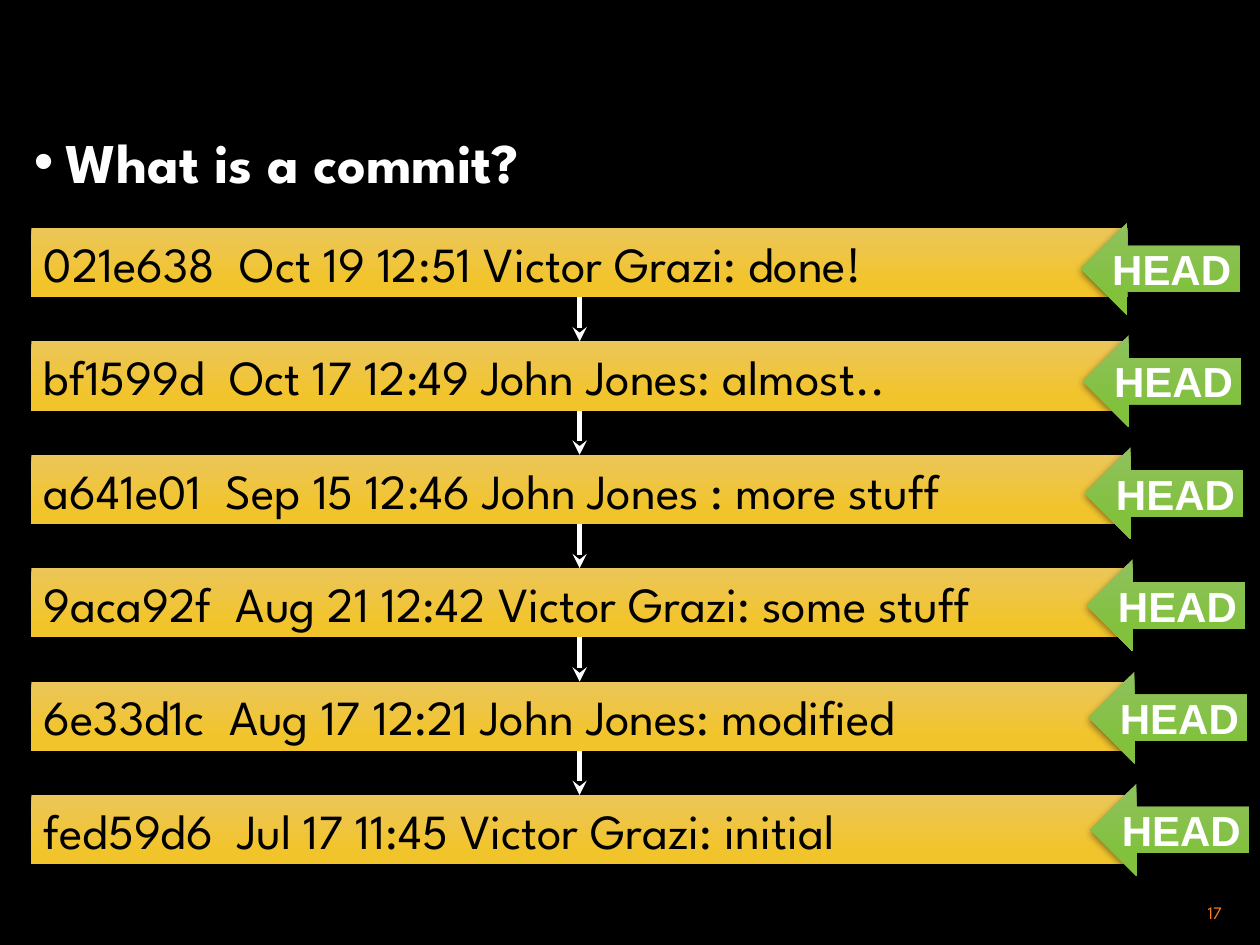
import itertools

import pptx
import pptx.dml.color
import pptx.enum.dml
import pptx.enum.shapes
import pptx.enum.text
import pptx.oxml
import pptx.oxml.ns
import pptx.util

Pt = pptx.util.Pt
SHAPE = pptx.enum.shapes.MSO_SHAPE
ALIGN = pptx.enum.text.PP_ALIGN
ANCHOR = pptx.enum.text.MSO_ANCHOR
NAMESPACE = pptx.oxml.ns.nsdecls("a")

COMMITS = [
    "021e638  Oct 19 12:51 Victor Grazi: done!",
    "bf1599d  Oct 17 12:49 John Jones: almost..",
    "a641e01  Sep 15 12:46 John Jones : more stuff",
    "9aca92f  Aug 21 12:42 Victor Grazi: some stuff",
    "6e33d1c  Aug 17 12:21 John Jones: modified",
    "fed59d6  Jul 17 11:45 Victor Grazi: initial",
]


def color(value):
    return pptx.dml.color.RGBColor.from_string(value)


def set_attributes(target, values):
    for name, value in values.items():
        setattr(target, name, value)


class CommitSlide:
    font = "League Spartan"
    white, black, orange = "FFFFFF", "000000", "FE801A"
    gold = ("EBC659", "F2C42C")
    green = ("8FC15E", "81C13C")

    def __init__(self, presentation):
        self.slide = presentation.slides.add_slide(presentation.slide_layouts[1])
        fill = self.slide.background.fill
        fill.solid()
        fill.fore_color.rgb = color(self.black)
        title = self.slide.shapes.title
        title.element.getparent().remove(title.element)

    def set_text(self, shape, text, size, text_color, margins, font=font, bold=False,
                 align=ALIGN.LEFT, anchor=ANCHOR.MIDDLE, wrap=True):
        """Fill the shape with one paragraph; margins are left, top, right, bottom."""
        frame = shape.text_frame
        sides = ("margin_left", "margin_top", "margin_right", "margin_bottom")
        set_attributes(frame, {"word_wrap": wrap, "vertical_anchor": anchor})
        set_attributes(frame, dict(zip(sides, map(Pt, margins))))
        paragraph = frame.paragraphs[0]
        paragraph.alignment = align
        run = paragraph.add_run()
        run.text = text
        set_attributes(run.font, {"name": font, "size": Pt(size), "bold": bold})
        run.font.color.rgb = color(text_color)
        return paragraph

    def heading(self, text, *box):
        body = self.slide.placeholders[1]
        set_attributes(body, dict(zip(("left", "top", "width", "height"), map(Pt, box))))
        paragraph = self.set_text(body, text, 32, self.white, (0, 0, 0, 0),
                                  bold=True, anchor=ANCHOR.TOP)
        set_attributes(paragraph, {"line_spacing": 1.12, "space_before": Pt(0)})
        properties = paragraph._p.get_or_add_pPr()
        properties.set("marL", str(Pt(18)))
        properties.set("indent", str(Pt(-18)))
        properties.append(pptx.oxml.parse_xml(f'<a:buChar {NAMESPACE} char="•"/>'))

    def block(self, kind, box, colors):
        """Add a borderless shape with a vertical gradient and a soft shadow."""
        shape = self.slide.shapes.add_shape(kind, *map(Pt, box))
        shape.fill.gradient()
        shape.fill.gradient_angle = 270
        for stop, value, position in zip(shape.fill.gradient_stops, colors, (0, 0.78)):
            stop.color.rgb = color(value)
            stop.position = position
        shape.line.fill.background()
        shape.shadow.inherit = False
        effects = shape._element.spPr.find(pptx.oxml.ns.qn("a:effectLst"))
        effects.append(pptx.oxml.parse_xml(
            f'<a:outerShdw {NAMESPACE} blurRad="{Pt(4.5)}" dist="{Pt(1.5)}" '
            f'dir="5400000" rotWithShape="0"><a:srgbClr val="{self.black}">'
            '<a:alpha val="48000"/></a:srgbClr></a:outerShdw>'))
        return shape

    def commit(self, text, *box):
        bar = self.block(SHAPE.RECTANGLE, box, self.gold)
        self.set_text(bar, text, 28, self.black, (7.2, 3, 0, 3), wrap=False)
        return bar

    def head(self, *box):
        pointer = self.block(SHAPE.LEFT_ARROW, box, self.green)
        self.set_text(pointer, "HEAD", 24, self.white, (3, 3, 3, 3), font="Arial",
                      bold=True, align=ALIGN.CENTER)

    def link(self, upper, lower):
        connector = self.slide.shapes.add_connector(
            pptx.enum.shapes.MSO_CONNECTOR.STRAIGHT, 0, 0, 0, 0)
        connector.begin_connect(upper, 2)
        connector.end_connect(lower, 0)
        connector.line.width = Pt(2.75)
        connector.line.color.rgb = color(self.white)
        connector.line._get_or_add_ln().append(
            pptx.oxml.parse_xml(f'<a:tailEnd {NAMESPACE} type="stealth"/>'))
        connector._element.spPr.append(
            pptx.oxml.parse_xml(f"<a:effectLst {NAMESPACE}/>"))

    def page_number(self, text, *box):
        text_box = self.slide.shapes.add_textbox(*map(Pt, box))
        self.set_text(text_box, text, 10, self.orange, (0, 0, 1.5, 1.5),
                      align=ALIGN.RIGHT)


def main():
    presentation = pptx.Presentation()
    set_attributes(presentation, {"slide_width": Pt(720), "slide_height": Pt(540)})
    slide = CommitSlide(presentation)
    slide.page_number("17", 642.2, 513.4, 57.6, 18)
    slide.heading("What is a commit?", 19.4, 68.4, 681, 45.4)
    bars = [slide.commit(text, 18, 130.3 + 64.8 * row, 626.4, 39.6)
            for row, text in enumerate(COMMITS)]
    for upper, lower in itertools.pairwise(bars):
        slide.link(upper, lower)
    for row in range(len(COMMITS)):
        slide.head(617.6 + 1.1 * row, 127.4 + 64.1 * row, 90.7, 52.6)
    presentation.save("out.pptx")


if __name__ == "__main__":
    main()
